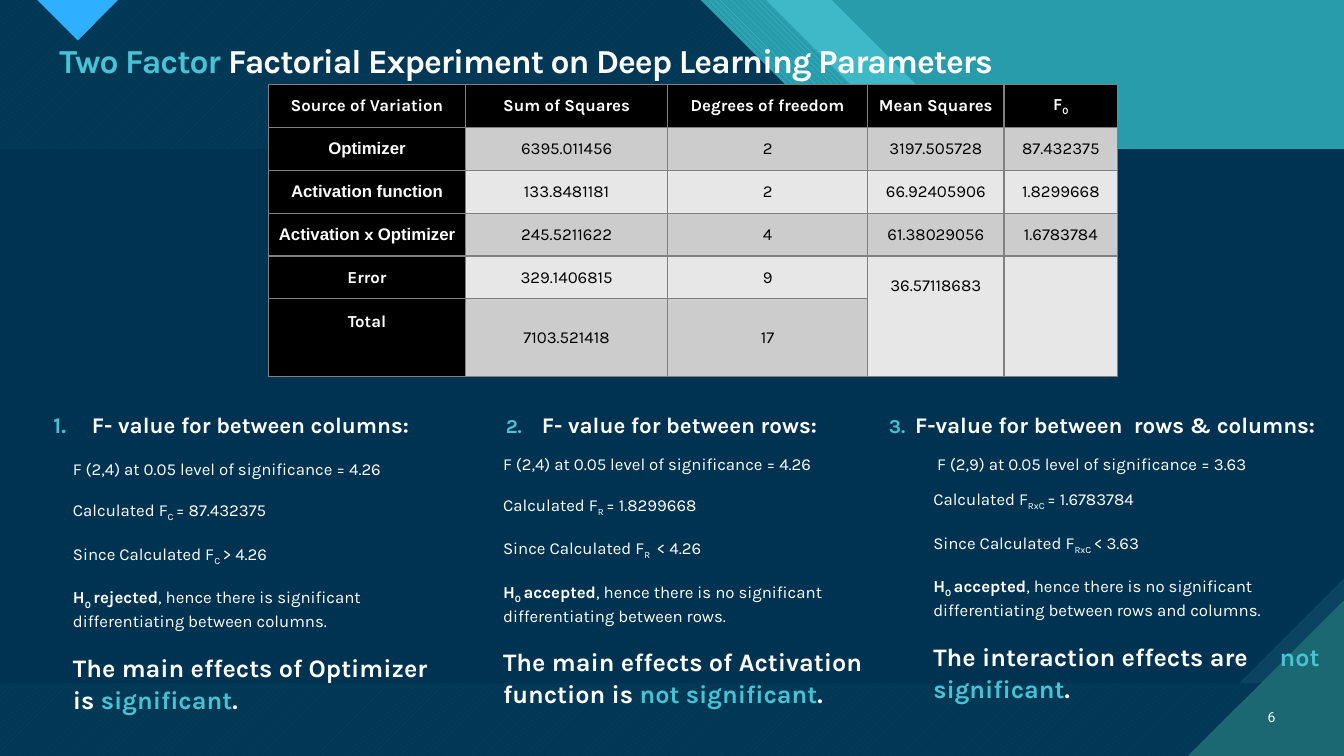
from dataclasses import dataclass
from typing import NamedTuple

import pptx
import pptx.dml.color
import pptx.enum.dml
import pptx.enum.shapes
import pptx.enum.text
import pptx.oxml
import pptx.oxml.ns
import pptx.util
from pptx.util import Cm, Pt

NAVY, AQUA, TEAL, DEEP_TEAL = "003352", "47C3D3", "299CAB", "1B6872"
WHITE, BLACK, GREY = "FFFFFF", "000000", "808080"
W, H = 33.87, 19.05
PATTERN = pptx.enum.dml.MSO_PATTERN
ALIGN = pptx.enum.text.PP_ALIGN
ANCHOR = pptx.enum.text.MSO_ANCHOR


class Run(NamedTuple):
    text: str
    size: float = 12
    color: str = WHITE
    bold: bool = False
    sub: bool = False
    font: str = "Karla"
    spacing: float = 0


@dataclass
class Backdrop:
    points: list
    color: str
    back: str = ""
    pattern: object = None
    alpha: int = 100


@dataclass
class Test:
    """One F-test column below the table."""
    left: float
    width: float
    heading: str
    number_gap: float
    level: str
    factor: str
    value: str
    relation: str
    verdict: str
    reason: str
    conclusion: list
    after: tuple = (4, 8, 8)
    number_size: int = 88


def rgb(color: str) -> pptx.dml.color.RGBColor:
    return pptx.dml.color.RGBColor.from_string(color)


def add_xml(parent, xml: str) -> None:
    ns = pptx.oxml.ns.nsdecls("a")
    parent.append(pptx.oxml.parse_xml(xml.replace(" ", f" {ns} ", 1)))


def draw_backdrop(s, b: Backdrop) -> None:
    points = [(x * 100, y * 100) for x, y in b.points]
    builder = s.shapes.build_freeform(*points[0], scale=Cm(0.01))
    builder.add_line_segments(points[1:], close=True)
    sp = builder.convert_to_shape()
    sp.shadow.inherit = False
    sp.line.fill.background()
    if b.pattern:
        sp.fill.patterned()
        sp.fill.pattern = b.pattern
        sp.fill.fore_color.rgb = rgb(b.color)
        sp.fill.back_color.rgb = rgb(b.back)
    else:
        sp.fill.solid()
        sp.fill.fore_color.rgb = rgb(b.color)
        if b.alpha < 100:
            clr = sp._element.spPr.find(".//" + pptx.oxml.ns.qn("a:srgbClr"))
            add_xml(clr, f'<a:alpha val="{b.alpha * 1000}"/>')


def write(p, runs: list, align=ALIGN.LEFT, line: float = 1.05,
          before: float = 0, after: float = 0) -> None:
    p.alignment, p.line_spacing = align, line
    p.space_before, p.space_after = Pt(before), Pt(after)
    for run in runs:
        r = p.add_run()
        r.text = run.text
        r.font.name, r.font.size, r.font.bold = run.font, Pt(run.size), run.bold
        r.font.color.rgb = rgb(run.color)
        if run.sub:
            r._r.get_or_add_rPr().set("baseline", "-25000")
        if run.spacing:
            r._r.get_or_add_rPr().set("spc", str(int(run.spacing * 100)))


def add_text(s, left: float, top: float, width: float, height: float):
    tf = s.shapes.add_textbox(Cm(left), Cm(top), Cm(width), Cm(height)).text_frame
    tf.word_wrap = True
    return tf


def draw_test(s, number: int, t: Test) -> None:
    tf = add_text(s, t.left, 10.34, t.width, 8.71)
    tf.margin_left = tf.margin_right = tf.margin_top = tf.margin_bottom = 0
    p = tf.paragraphs[0]
    write(p, [Run(t.heading, 16, bold=True)], ALIGN.CENTER, before=6, after=t.after[0])
    pPr = p._p.get_or_add_pPr()
    pPr.set("marL", str(Cm(t.number_gap)))
    pPr.set("indent", str(-Cm(t.number_gap)))
    add_xml(pPr, f'<a:buClr ><a:srgbClr val="{AQUA}"/></a:buClr>')
    add_xml(pPr, f'<a:buSzPct val="{t.number_size * 1000}"/>')
    add_xml(pPr, f'<a:buAutoNum type="arabicPeriod" startAt="{number}"/>')
    factor = Run(t.factor + " ", sub=True)
    lines = [
        [Run(t.level)],
        [Run("Calculated F"), factor, Run(f"= {t.value}")],
        [Run("Since Calculated F"), factor, Run(t.relation)],
        [Run("H", bold=True), Run("0 ", bold=True, sub=True),
         Run(t.verdict, bold=True), Run(t.reason)],
        t.conclusion,
    ]
    for i, runs in enumerate(lines):
        p = tf.add_paragraph()
        write(p, runs, before=6, after=t.after[1] if i == 0 else t.after[2])
        p._p.get_or_add_pPr().set("marL", str(Cm(1.27)))


def fill_cell(cell, runs: list, color: str, side: float) -> None:
    tcPr = cell._tc.get_or_add_tcPr()
    for edge in "LRTB":
        add_xml(tcPr, f'<a:ln{edge} w="12700"><a:solidFill><a:srgbClr val="{GREY}"/>'
                      f'</a:solidFill></a:ln{edge}>')
    cell.fill.solid()
    cell.fill.fore_color.rgb = rgb(color)
    cell.vertical_anchor = ANCHOR.MIDDLE
    cell.margin_left = cell.margin_right = Cm(side)
    cell.margin_top = cell.margin_bottom = 0
    write(cell.text_frame.paragraphs[0], runs, ALIGN.CENTER, line=1)


def draw_table(s, header: list, rows: list) -> None:
    widths, heights = [4.98, 5.08, 5.05, 3.43, 2.87], [1.08] * 5 + [1.95]
    tbl = s.shapes.add_table(len(heights), len(widths), Cm(6.76), Cm(2.13),
                             Cm(sum(widths)), Cm(sum(heights))).table
    tbl.first_row = tbl.horz_banding = False
    for column, width in zip(tbl.columns, widths):
        column.width = Cm(width)
    for row, height in zip(tbl.rows, heights):
        row.height = Cm(height)
    for j, runs in enumerate(header):
        fill_cell(tbl.cell(0, j), runs, BLACK, 0.18)
    for i, (label, *values) in enumerate(rows, 1):
        fill_cell(tbl.cell(i, 0), label, BLACK, 0.18)
        for j, value in enumerate(values, 1):
            runs = [Run(value, color=BLACK)] if value else []
            fill_cell(tbl.cell(i, j), runs, "CCCCCC" if i % 2 else "E7E7E7", 0.03)
    # The last two columns share one cell for Error and Total
    for j in (3, 4):
        tbl.cell(4, j).merge(tbl.cell(5, j))
    for cell, top in ((tbl.cell(4, 3), 0.5), (tbl.cell(5, 0), 0.34)):
        cell.vertical_anchor, cell.margin_top = ANCHOR.TOP, Cm(top)


def bold(text: str, font: str = "Karla") -> Run:
    return Run(text, bold=True, font=font)


def big(text: str, color: str = WHITE, spacing: float = 0) -> Run:
    return Run(text, 18, color, True, spacing=spacing)


def diagonal(top_x: float, shoulder: float, right_y: float) -> list:
    """Area left of a diagonal that steps down to the right edge."""
    step = 7.54
    return [(0, 0), (top_x, 0), (top_x + step, step), (shoulder, step),
            (W, right_y), (W, H), (0, H)]


DARK_AREA = diagonal(17.65, 28.4, 13.01)
BACKDROPS = [
    Backdrop(diagonal(20.96, 31.34, 10.06), AQUA, alpha=74),
    Backdrop(diagonal(19.3, 30.07, 11.35), AQUA, TEAL, PATTERN.WIDE_DOWNWARD_DIAGONAL),
    Backdrop(DARK_AREA, AQUA, DEEP_TEAL, PATTERN.WIDE_UPWARD_DIAGONAL),
    Backdrop(DARK_AREA, NAVY, alpha=90),
    Backdrop([(0.94, 0), (1.96, 1.02), (2.97, 0)], "2FAFFF", DEEP_TEAL,
             PATTERN.DARK_HORIZONTAL),
    Backdrop([(0, 3.76), (W, 3.76), (W, 17.22), (0, 17.22)], "0C4360", DEEP_TEAL,
             PATTERN.DARK_VERTICAL),
    Backdrop([(0, 3.76), (W, 3.76), (W, 14.57), (31.22, 17.22), (0, 17.22)], NAVY),
    Backdrop([(29.95, H), (W, H), (W, 15.14)], DEEP_TEAL, AQUA, PATTERN.DARK_HORIZONTAL),
]
HEADER = [[bold(t)] for t in ("Source of Variation", "Sum of Squares",
                              "Degrees of freedom", "Mean Squares")]
HEADER.append([bold("F"), Run("0", bold=True, sub=True)])
ROWS = [
    ([bold("Optimizer", "Arial")], "6395.011456", "2", "3197.505728", "87.432375"),
    ([bold("Activation function", "Arial")], "133.8481181", "2", "66.92405906", "1.8299668"),
    ([bold("Activation", "Arial"), bold(" x "), bold("Optimizer", "Arial")],
     "245.5211622", "4", "61.38029056", "1.6783784"),
    ([bold("Error")], "329.1406815", "9", "36.57118683", ""),
    ([bold("Total")], "7103.521418", "17", "", ""),
]
LEVEL = "F (2,4) at 0.05 level of significance = 4.26"
TESTS = [
    Test(0.57, 10.52, "F- value for between columns:", 0.97, LEVEL, "C", "87.432375",
         "> 4.26", "rejected",
         ", hence there is significant differentiating between columns.",
         [big("The main effects of Optimizer is "), big("significant", AQUA), big(".")],
         (8, 8, 8), 100),
    Test(11.41, 10.52, "F- value for between rows:", 0.91, LEVEL, "R", "1.8299668",
         " < 4.26", "accepted",
         ", hence there is no significant differentiating between rows.",
         [big("The main effects of Activation function is "),
          big("not significant", AQUA), big(".")]),
    Test(22.25, 11.05, "F-value for between  rows & columns:", 0.66,
         " F (2,9) at 0.05 level of significance = 3.63", "RxC", "1.6783784",
         "< 3.63", "accepted",
         ", hence there is no significant differentiating between rows and columns.",
         [big("The interaction effects are"), big(" ", spacing=18),
          big("not significant", AQUA), big(".")], (4, 4, 8)),
]


def main() -> None:
    prs = pptx.Presentation()
    prs.slide_width, prs.slide_height = Cm(W), Cm(H)
    s = prs.slides.add_slide(prs.slide_layouts[5])
    # Background
    s.background.fill.solid()
    s.background.fill.fore_color.rgb = rgb(TEAL)
    for backdrop in BACKDROPS:
        draw_backdrop(s, backdrop)
    # Title, brought in front of the background
    title = s.shapes.title
    title._element.getparent().append(title._element)
    title.left, title.top, title.width, title.height = Cm(1.24), Cm(0.99), Cm(31.14), Cm(1.17)
    title.text_frame.vertical_anchor = ANCHOR.MIDDLE
    write(title.text_frame.paragraphs[0],
          [Run("Two Factor ", 24, AQUA, True, spacing=-0.7),
           Run("Factorial Experiment on Deep Learning Parameters", 24, bold=True, spacing=-0.7)],
          line=0.9)
    # Table, tests and slide number
    draw_table(s, HEADER, ROWS)
    for number, test in enumerate(TESTS, 1):
        draw_test(s, number, test)
    tf = add_text(s, 31.27, 17.55, 1.12, 1.02)
    tf.vertical_anchor = ANCHOR.MIDDLE
    write(tf.paragraphs[0], [Run("6", 10, font="Roboto")], ALIGN.RIGHT, line=1)
    prs.save("out.pptx")


if __name__ == "__main__":
    main()
